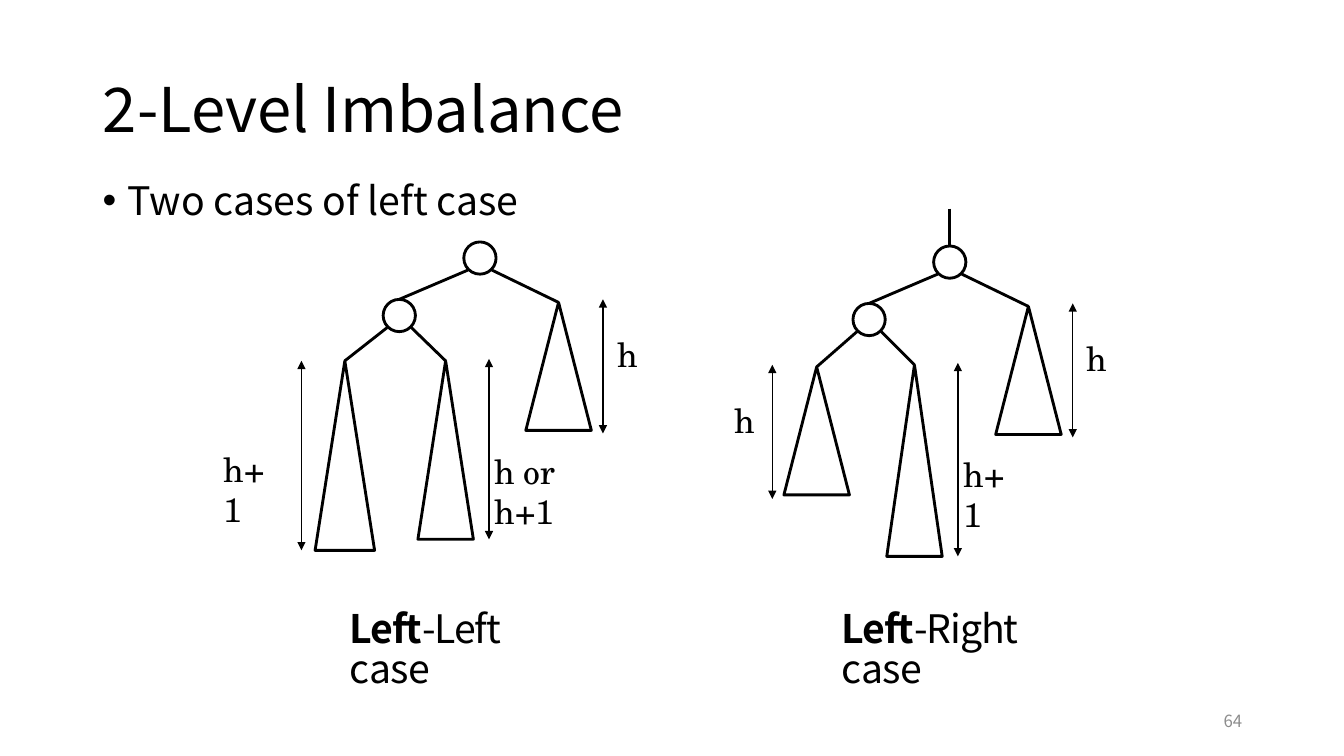
from dataclasses import dataclass

from lxml import etree
from pptx import Presentation
from pptx.dml.color import RGBColor
from pptx.enum import shapes, text
from pptx.oxml import ns
from pptx.util import Inches, Pt

COLORS = {"ink": "000000", "paper": "FFFFFF", "muted": "8C8C8C"}
SANS, SERIF = "Noto Sans CJK SC", "TeX Gyre Schola"
NODE_SIZE = 0.32
TREE_LINE, MEASURE_LINE = 2.04, 1


@dataclass(frozen=True)
class Run:
    words: str
    bold: bool = False
    spacing: float = 0


@dataclass(frozen=True)
class Style:
    font: str
    size: float
    color: str = "ink"
    line_spacing: float = 1


@dataclass(frozen=True)
class Subtree:
    """A triangle with its height arrow and label; x and y count from the root."""
    x: float
    y: float
    width: float
    height: float
    arrow_x: float
    arrow_top: float
    arrow_bottom: float
    label_x: float
    label_y: float
    label_width: float
    label: tuple[Run, ...]


@dataclass(frozen=True)
class Case:
    root_x: float
    root_y: float
    stem: bool
    left: Subtree
    right: Subtree
    caption_x: float
    caption_width: float
    caption: tuple[Run, ...]


HEIGHT = (Run("h", spacing=-0.8),)
HEIGHT_PLUS = (Run("h+1"),)
HEIGHT_EITHER = (Run("h ", spacing=-0.8), Run("or ", spacing=-0.1), Run("h+1"))

TITLE = Style(SANS, 44, line_spacing=0.85)
BULLET = Style(SANS, 28, line_spacing=0.8)
CAPTION = Style(SANS, 28, line_spacing=0.85)
LABEL = Style(SERIF, 24)
NUMBER = Style(SANS, 12, "muted")

# Right child of the root, the same in both cases
OUTER = Subtree(0.78, 0.44, 0.65, 1.27, 1.22, 0.41, 1.74, 1.36, 0.74, 0.21, HEIGHT)

CASES = (
    Case(4.76, 2.56, False,
         Subtree(-1.34, 1.02, 0.59, 1.88, -1.77, 1.02, 2.9, -2.54, 1.88, 0.58, HEIGHT_PLUS),
         Subtree(-0.34, 1.02, 0.55, 1.77, 0.09, 1, 2.79, 0.15, 1.9, 1.2, HEIGHT_EITHER),
         3.47, 2.25, (Run("Left", True, -0.8), Run("-Left ", spacing=-0.8), Run("case", spacing=-0.2))),
    Case(9.42, 2.6, True,
         Subtree(-1.32, 1.04, 0.65, 1.27, -1.76, 1.02, 2.35, -2.14, 1.36, 0.21, HEIGHT),
         Subtree(-0.35, 1.02, 0.55, 1.9, 0.08, 1, 2.92, 0.14, 1.89, 0.58, HEIGHT_PLUS),
         8.35, 2.49, (Run("Left", True, -0.8), Run("-Right ", spacing=-0.8), Run("case", spacing=-0.2))),
)


def rgb(name: str) -> RGBColor:
    return RGBColor.from_string(COLORS[name])


def write(frame, runs: tuple[Run, ...], style: Style, align=text.PP_ALIGN.LEFT) -> None:
    frame.word_wrap = True
    paragraph = frame.paragraphs[0]
    paragraph.alignment = align
    paragraph.line_spacing = style.line_spacing
    paragraph.space_before = Pt(0)
    for item in runs:
        run = paragraph.add_run()
        run.text = item.words
        run.font.name = style.font
        run.font.size = Pt(style.size)
        run.font.bold = item.bold
        run.font.color.rgb = rgb(style.color)
        properties = run.font._element
        properties.set("spc", str(round(item.spacing * 100)))
        east_asian = etree.SubElement(properties, ns.qn("a:ea"))
        east_asian.set("typeface", style.font)


def add_text(slide, x: float, y: float, width: float, height: float,
             runs: tuple[Run, ...], style: Style, tight: bool = False):
    frame = slide.shapes.add_textbox(Inches(x), Inches(y), Inches(width), Inches(height)).text_frame
    if tight:
        frame.margin_left = frame.margin_right = frame.margin_bottom = 0
        frame.margin_top = Inches(0.01)
    write(frame, runs, style)
    return frame


def add_line(slide, x1: float, y1: float, x2: float, y2: float,
             weight: float = TREE_LINE, arrows: bool = False) -> None:
    line = slide.shapes.add_connector(shapes.MSO_CONNECTOR.STRAIGHT,
                                      Inches(x1), Inches(y1), Inches(x2), Inches(y2))
    line.line.color.rgb = rgb("ink")
    line.line.width = Pt(weight)
    if arrows:
        outline = line.line._get_or_add_ln()
        for end in ("a:headEnd", "a:tailEnd"):
            etree.SubElement(outline, ns.qn(end)).set("type", "triangle")
    etree.SubElement(line._element.spPr, ns.qn("a:effectLst"))


def add_outline(slide, kind, x: float, y: float, width: float, height: float) -> None:
    shape = slide.shapes.add_shape(kind, Inches(x), Inches(y), Inches(width), Inches(height))
    shape.shadow.inherit = False
    shape.fill.solid()
    shape.fill.fore_color.rgb = rgb("paper")
    shape.line.color.rgb = rgb("ink")
    shape.line.width = Pt(TREE_LINE)


def add_node(slide, x: float, y: float) -> None:
    add_outline(slide, shapes.MSO_SHAPE.OVAL, x - NODE_SIZE / 2, y - NODE_SIZE / 2, NODE_SIZE, NODE_SIZE)


def add_subtree(slide, x: float, y: float, tree: Subtree) -> None:
    add_outline(slide, shapes.MSO_SHAPE.ISOSCELES_TRIANGLE,
                x + tree.x - tree.width / 2, y + tree.y, tree.width, tree.height)
    add_line(slide, x + tree.arrow_x, y + tree.arrow_top, x + tree.arrow_x, y + tree.arrow_bottom,
             MEASURE_LINE, arrows=True)
    add_text(slide, x + tree.label_x, y + tree.label_y, tree.label_width, 0.43, tree.label, LABEL, tight=True)


def add_case(slide, case: Case) -> None:
    x, y = case.root_x, case.root_y
    child_x, child_y = x - 0.8, y + 0.57
    # Branches
    if case.stem:
        add_line(slide, x, y - 0.53, x, y - NODE_SIZE / 2)
    add_line(slide, x - 0.12, y + 0.12, child_x, child_y - NODE_SIZE / 2)
    add_line(slide, x + 0.12, y + 0.12, x + OUTER.x, y + OUTER.y)
    for side, tree in ((-1, case.left), (1, case.right)):
        add_line(slide, child_x + side * 0.12, child_y + 0.12, x + tree.x, y + tree.y)
    # Nodes and subtrees
    add_node(slide, x, y)
    add_node(slide, child_x, child_y)
    for tree in (case.left, case.right, OUTER):
        add_subtree(slide, x, y, tree)
    add_text(slide, case.caption_x, 6.06, case.caption_width, 0.49, case.caption, CAPTION, tight=True)


def main() -> None:
    deck = Presentation()
    deck.slide_width, deck.slide_height = Inches(13.33), Inches(7.5)
    slide = deck.slides.add_slide(deck.slide_layouts[5])

    # Title
    title = slide.shapes.title
    title.left, title.top, title.width, title.height = Inches(0.92), Inches(0.4), Inches(11.5), Inches(1.45)
    title.text_frame.vertical_anchor = text.MSO_ANCHOR.MIDDLE
    write(title.text_frame, (Run("2-Level Imbalance"),), TITLE)

    # Bullet
    statement = add_text(slide, 0.92, 1.79, 11.5, 0.6, (Run("Two cases of left case"),), BULLET)
    properties = statement.paragraphs[0]._p.get_or_add_pPr()
    properties.set("marL", str(Inches(0.25)))
    properties.set("indent", str(-Inches(0.25)))
    etree.SubElement(properties, ns.qn("a:buFont")).set("typeface", "Arial")
    etree.SubElement(properties, ns.qn("a:buChar")).set("char", "•")

    # Tree diagrams
    for case in CASES:
        add_case(slide, case)

    # Slide number
    number = add_text(slide, 9.42, 6.95, 3, 0.4, (Run("64"),), NUMBER)
    number.vertical_anchor = text.MSO_ANCHOR.MIDDLE
    number.paragraphs[0].alignment = text.PP_ALIGN.RIGHT

    deck.save("out.pptx")


if __name__ == "__main__":
    main()
